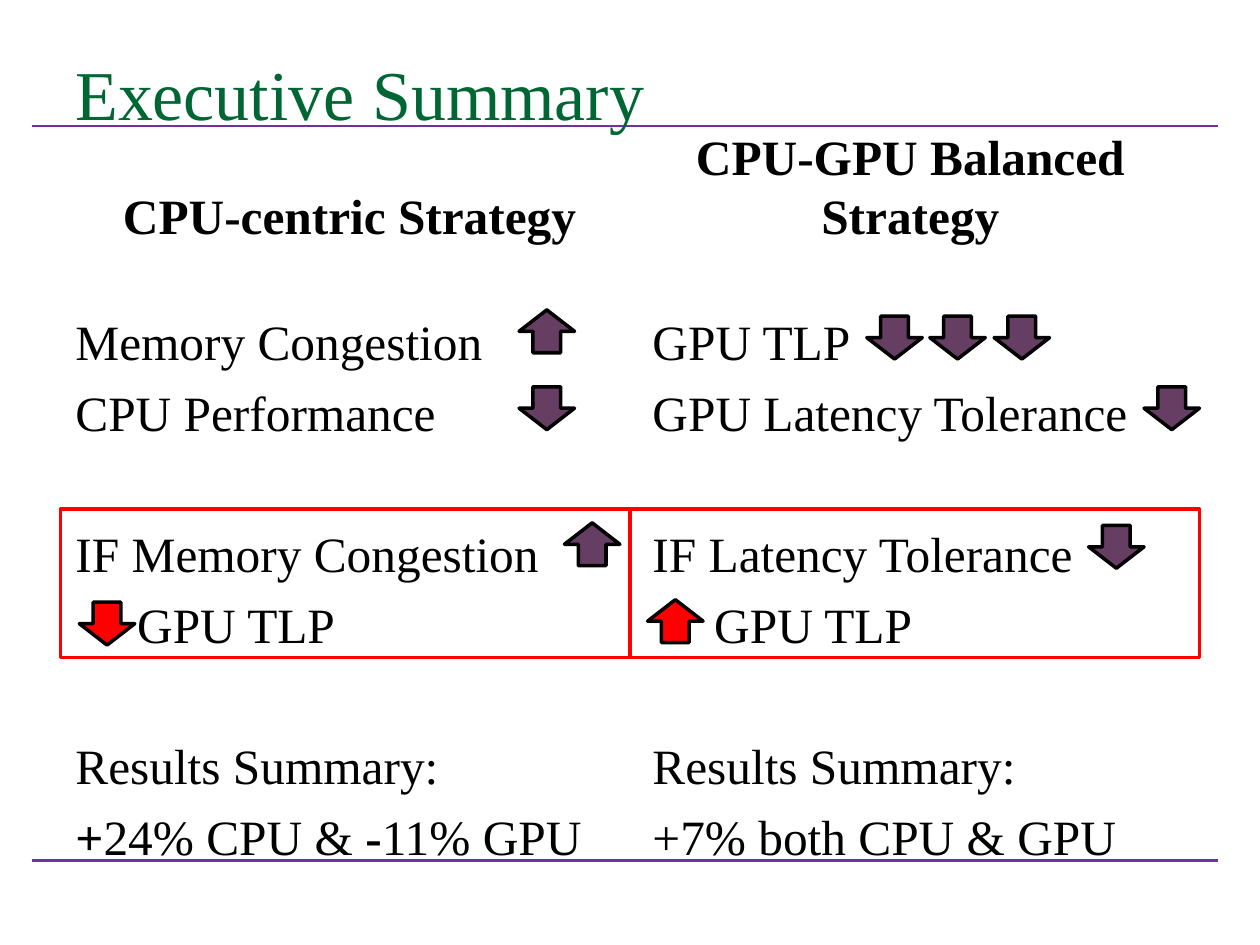
from pptx import Presentation
from pptx.dml.color import RGBColor
from pptx.enum.shapes import MSO_CONNECTOR as Connector, MSO_SHAPE as Shape
from pptx.enum.text import MSO_ANCHOR as Anchor, PP_ALIGN as Align
from pptx.util import Inches, Pt
from lxml.etree import SubElement
from pptx.oxml.ns import qn

COLORS = {
    "title": "006633",
    "text": "000000",
    "rule": "7030A0",
    "trend": "663D63",
    "action": "FF0000",
    "outline": "000000",
}
FONT = "Times New Roman"
GRID_COLUMNS = 100
SLIDE_WIDTH, SLIDE_HEIGHT = Inches(10), Inches(7.5)
CELL = SLIDE_WIDTH // GRID_COLUMNS
BODY_SIZE = 28.2
LINE_GAP = 7
SECTION_GAP = 46.4
ACTION_INDENT = 4.9
UP, DOWN = Shape.UP_ARROW, Shape.DOWN_ARROW

STRATEGIES = [
    {
        "left": 5,
        "heading_left": 6.3,
        "heading": "CPU-centric Strategy",
        "sections": [
            ["Memory Congestion", "CPU Performance"],
            ["IF Memory Congestion", "GPU TLP"],
            ["Results Summary:", "+24% CPU & -11% GPU"],
        ],
        "bold_signs": True,
        "box_left": 4.8,
        "trends": [(UP, 41.2, 24.6), (DOWN, 41.2, 30.7), (UP, 44.8, 41.5)],
        "action": (DOWN, 6.3, 47.8),
    },
    {
        "left": 50.8,
        "heading_left": 50.8,
        "heading": "CPU-GPU Balanced Strategy",
        "sections": [
            ["GPU TLP", "GPU Latency Tolerance"],
            ["IF Latency Tolerance", "GPU TLP"],
            ["Results Summary:", "+7% both CPU & GPU"],
        ],
        "bold_signs": False,
        "box_left": 50,
        "trends": [
            (DOWN, 68.8, 25.1),
            (DOWN, 73.8, 25.1),
            (DOWN, 78.9, 25.1),
            (DOWN, 90.8, 30.7),
            (DOWN, 86.4, 41.7),
        ],
        "action": (UP, 51.4, 47.6),
    },
]


def cells(*counts):
    return [round(count * CELL) for count in counts]


def color(name):
    return RGBColor.from_string(COLORS[name])


def style_paragraph(paragraph, size, name, bold=False):
    for run in paragraph.runs:
        run.font.name = FONT
        run.font.size = Pt(size)
        run.font.color.rgb = color(name)
        run.font.bold = bold


def add_text_frame(slide, bounds, anchor=Anchor.TOP):
    text_frame = slide.shapes.add_textbox(*cells(*bounds)).text_frame
    text_frame.word_wrap = True
    text_frame.vertical_anchor = anchor
    return text_frame


def add_label(slide, text, bounds, size, name, bold=False, anchor=Anchor.TOP, align=Align.LEFT):
    text_frame = add_text_frame(slide, bounds, anchor)
    text_frame.text = text
    paragraph = text_frame.paragraphs[0]
    paragraph.alignment = align
    style_paragraph(paragraph, size, name, bold)


def embolden_signs(paragraph):
    before, after = paragraph.text.split("-")
    pieces = [before[0], before[1:], "-", after]
    paragraph.text = pieces[0]
    for piece in pieces[1:]:
        paragraph.add_run().text = piece
    style_paragraph(paragraph, BODY_SIZE, "text")
    for run in paragraph.runs[::2]:
        run.font.bold = True


def add_body(slide, strategy):
    text_frame = add_text_frame(slide, (strategy["left"], 24.2, 44.2, 43.2))
    paragraphs = []
    for section in strategy["sections"]:
        for index, text in enumerate(section):
            paragraph = text_frame.add_paragraph() if paragraphs else text_frame.paragraphs[0]
            paragraph.text = text
            if paragraphs:
                paragraph.space_before = Pt(LINE_GAP if index else SECTION_GAP)
            style_paragraph(paragraph, BODY_SIZE, "text")
            paragraphs.append(paragraph)
    action_line = paragraphs[3]
    action_line._p.get_or_add_pPr().set("marL", str(cells(ACTION_INDENT)[0]))
    if strategy["bold_signs"]:
        embolden_signs(paragraphs[-1])


def add_arrow(slide, direction, left, top, fill):
    shape = slide.shapes.add_shape(direction, *cells(left, top, 4.4, 3.4))
    shape.shadow.inherit = False
    shape.fill.solid()
    shape.fill.fore_color.rgb = color(fill)
    shape.line.color.rgb = color("outline")
    shape.line.width = Pt(2)


def add_condition_box(slide, left):
    shape = slide.shapes.add_shape(Shape.RECTANGLE, *cells(left, 40.4, 45.2, 11.8))
    shape.shadow.inherit = False
    shape.fill.background()
    shape.line.color.rgb = color("action")
    shape.line.width = Pt(2)


def add_rule(slide, row):
    rule = slide.shapes.add_connector(Connector.STRAIGHT, *cells(2.5, row, 96.7, row))
    rule.line.color.rgb = color("rule")
    rule.line.width = Pt(1.5)
    SubElement(rule._element.spPr, qn("a:effectLst"))


def add_strategy(slide, strategy):
    heading_bounds = (strategy["heading_left"], 11.2, 42.9, 8.7)
    add_label(slide, strategy["heading"], heading_bounds, BODY_SIZE, "text",
              bold=True, anchor=Anchor.BOTTOM, align=Align.CENTER)
    add_body(slide, strategy)
    for trend in strategy["trends"]:
        add_arrow(slide, *trend, "trend")
    add_arrow(slide, *strategy["action"], "action")
    add_condition_box(slide, strategy["box_left"])


def main():
    presentation = Presentation()
    presentation.slide_width, presentation.slide_height = SLIDE_WIDTH, SLIDE_HEIGHT
    slide = presentation.slides.add_slide(presentation.slide_layouts[6])
    for row in (68.3, 10):
        add_rule(slide, row)
    add_label(slide, "Executive Summary", (5, 3.5, 90, 12.5), 40, "title")
    for strategy in STRATEGIES:
        add_strategy(slide, strategy)
    presentation.save("out.pptx")


if __name__ == "__main__":
    main()
